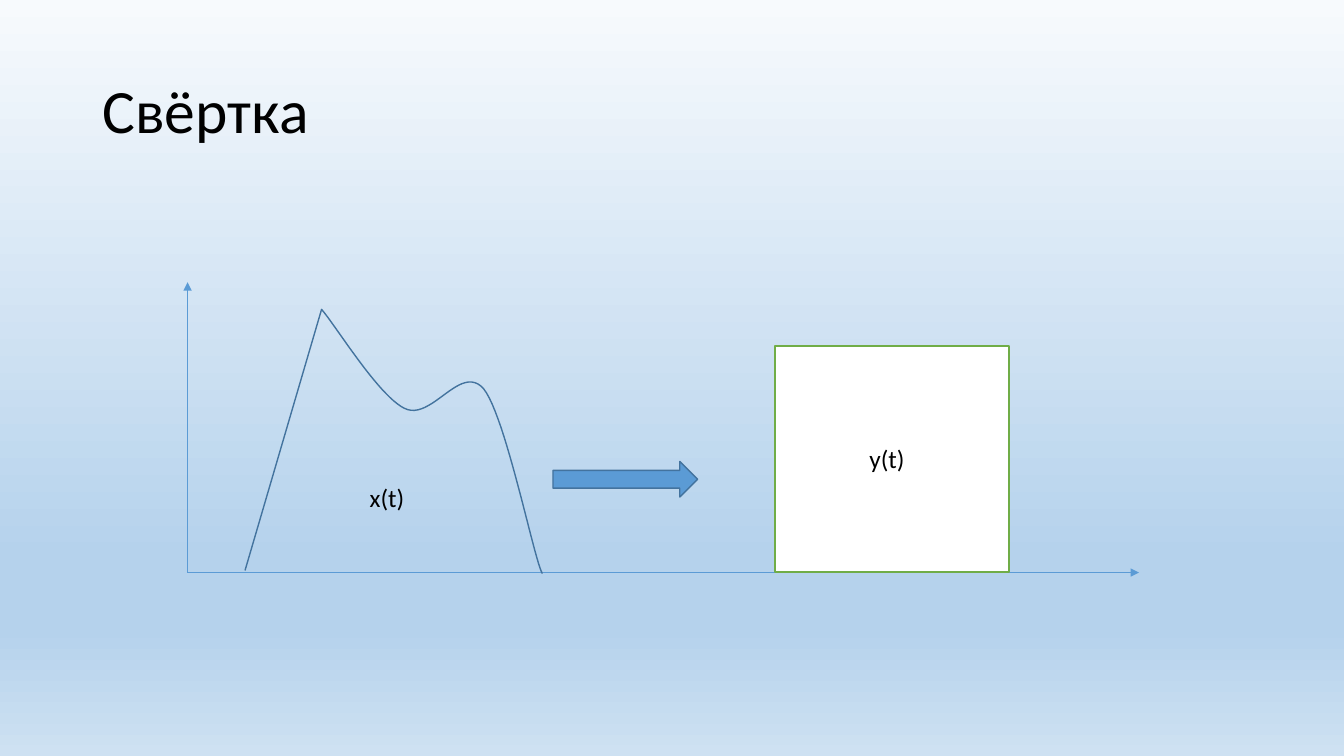
from lxml.etree import SubElement
from pptx import Presentation
from pptx.dml.color import RGBColor
from pptx.enum.shapes import MSO_CONNECTOR, MSO_SHAPE
from pptx.enum.text import MSO_ANCHOR, MSO_AUTO_SIZE, PP_ALIGN
from pptx.oxml.ns import qn
from pptx.util import Pt

BLACK = RGBColor(0x00, 0x00, 0x00)
WHITE = RGBColor(0xFF, 0xFF, 0xFF)
BLUE = RGBColor(0x5B, 0x9B, 0xD5)
DARK_BLUE = RGBColor(0x43, 0x73, 0x9E)
GREEN = RGBColor(0x70, 0xAD, 0x47)
SKY_STOPS = [
    (0, RGBColor(0xF7, 0xFA, 0xFD)),
    (74, RGBColor(0xB5, 0xD2, 0xEC)),
    (83, RGBColor(0xB5, 0xD2, 0xEC)),
    (100, RGBColor(0xCE, 0xE1, 0xF2)),
]

ORIGIN = (134, 409)
SIGNAL_START = (175, 407.5)
SIGNAL_PEAK = (229.7, 221)
SIGNAL_CURVES = [
    [(239.8, 232.6), (270, 282.2), (288.7, 291.6)],
    [(308.2, 301.7), (329, 258.5), (345.6, 277.9)],
    [(361.4, 298.1), (381.6, 400.3), (387.4, 409.7)],
]


def bezier_points(start, control_1, control_2, end, steps=24):
    """Points along a cubic curve, without its start."""
    points = []
    for step in range(1, steps + 1):
        t = step / steps
        weights = ((1 - t) ** 3, 3 * t * (1 - t) ** 2, 3 * t**2 * (1 - t), t**3)
        corners = list(zip(weights, (start, control_1, control_2, end)))
        points.append(tuple(sum(w * c[axis] for w, c in corners) for axis in (0, 1)))
    return points


class SlideBuilder:
    font = "Calibri"

    def __init__(self, page):
        self.page = page

    def background(self, stops):
        fill = self.page.background.fill
        fill.gradient()
        fill.gradient_angle = 270
        stop_list = next(self.page.element.iter(qn("a:gsLst")))
        for stop in list(stop_list):
            stop_list.remove(stop)
        for percent, color in stops:
            stop = SubElement(stop_list, qn("a:gs"), pos=str(percent * 1000))
            SubElement(stop, qn("a:srgbClr"), val=str(color))

    def add_span(self, frame, text, size):
        para = frame.paragraphs[0]
        para.alignment = PP_ALIGN.LEFT
        span = para.add_run()
        span.text = text
        span.font.name = self.font
        span.font.size = Pt(size)
        span.font.color.rgb = BLACK
        return para

    def title(self, text, left, top, width, height):
        box = self.page.shapes.title
        box.left, box.top, box.width, box.height = map(Pt, (left, top, width, height))
        frame = box.text_frame
        frame.auto_size = MSO_AUTO_SIZE.NONE
        frame.vertical_anchor = MSO_ANCHOR.MIDDLE
        self.add_span(frame, text, 44).line_spacing = 0.9

    def label(self, text, left, top, width, height):
        box = self.page.shapes.add_textbox(*map(Pt, (left, top, width, height)))
        frame = box.text_frame
        frame.word_wrap = True
        frame.auto_size = MSO_AUTO_SIZE.SHAPE_TO_FIT_TEXT
        self.add_span(frame, text, 18)

    def axis(self, start, end):
        arrow = self.page.shapes.add_connector(
            MSO_CONNECTOR.STRAIGHT, *map(Pt, start + end))
        arrow.line.color.rgb = BLUE
        arrow.line.width = Pt(0.5)
        properties = arrow.element.spPr
        SubElement(properties.find(qn("a:ln")), qn("a:tailEnd"), type="triangle")
        SubElement(properties, qn("a:effectLst"))

    def outline(self, shape, color):
        shape.shadow.inherit = False
        shape.line.color.rgb = color
        shape.line.width = Pt(1)

    def shape(self, kind, left, top, width, height, fill, line):
        shape = self.page.shapes.add_shape(kind, *map(Pt, (left, top, width, height)))
        shape.fill.solid()
        shape.fill.fore_color.rgb = fill
        self.outline(shape, line)

    def signal(self, start, peak, curves):
        points = [peak]
        for curve in curves:
            points += bezier_points(points[-1], *curve)
        builder = self.page.shapes.build_freeform(*map(Pt, start))
        builder.add_line_segments([tuple(map(Pt, p)) for p in points], close=False)
        shape = builder.convert_to_shape()
        shape.fill.background()
        self.outline(shape, DARK_BLUE)


def main():
    deck = Presentation()
    deck.slide_width, deck.slide_height = Pt(960), Pt(540)
    slide = SlideBuilder(deck.slides.add_slide(deck.slide_layouts[5]))
    slide.background(SKY_STOPS)
    slide.title("Свёртка", 66, 28.8, 828, 104.4)
    slide.axis(ORIGIN, (813.6, ORIGIN[1]))
    slide.axis(ORIGIN, (ORIGIN[0], 201.6))
    slide.signal(SIGNAL_START, SIGNAL_PEAK, SIGNAL_CURVES)
    slide.label("x(t)", 257, 340.6, 110, 29)
    slide.shape(MSO_SHAPE.RIGHT_ARROW, 395, 329.6, 103.3, 25.4, BLUE, DARK_BLUE)
    slide.shape(MSO_SHAPE.RECTANGLE, 553.7, 247.2, 167.2, 161.3, WHITE, GREEN)
    slide.label("y(t)", 614, 313.4, 75, 29)
    deck.save("out.pptx")


if __name__ == "__main__":
    main()
